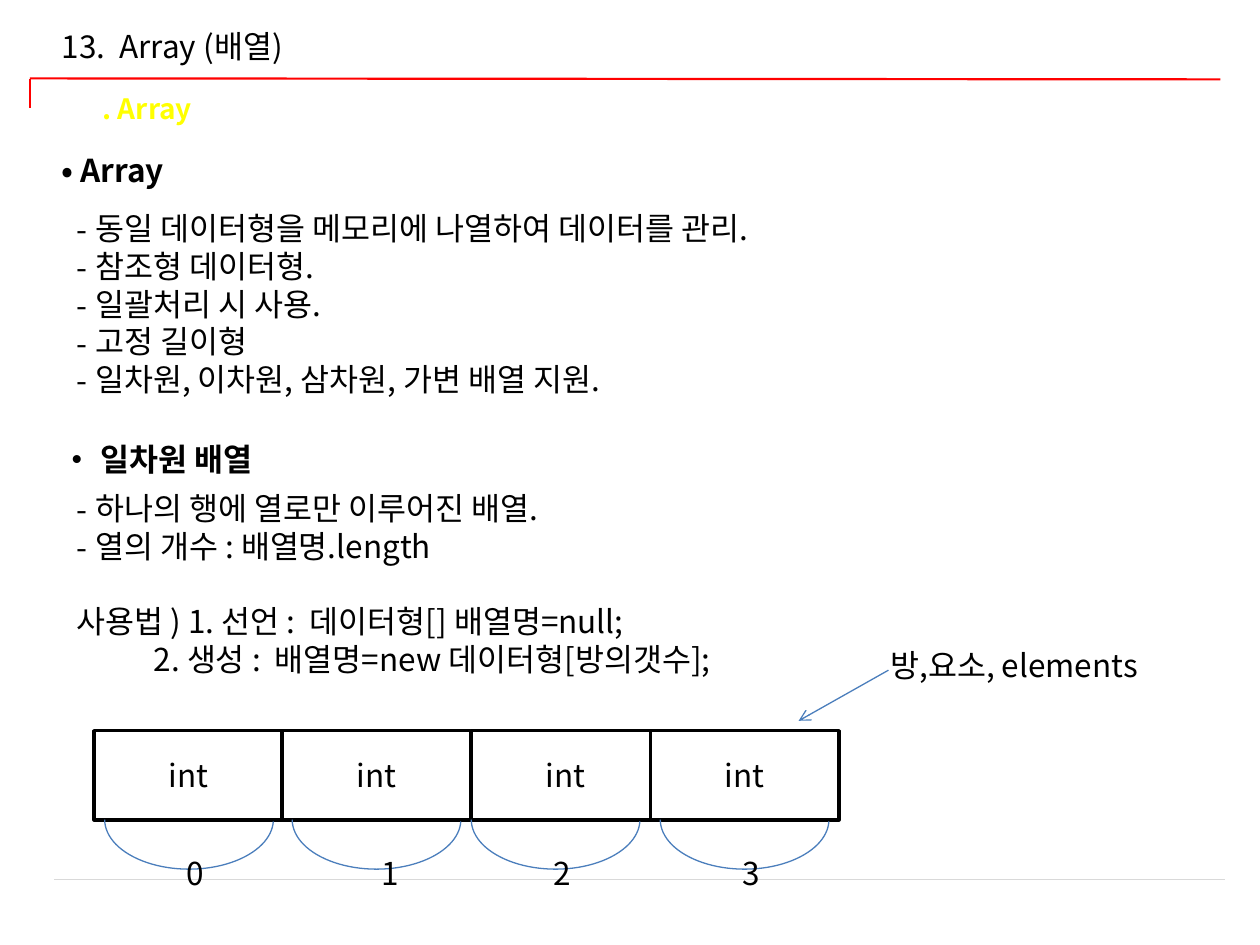
import pptx
import pptx.dml.color
import pptx.enum.shapes
import pptx.enum.text
import pptx.oxml
import pptx.oxml.ns
import pptx.util
from pptx.dml.color import RGBColor
from pptx.util import Cm

FONT = "Noto Sans CJK KR"
BLACK = RGBColor(0x00, 0x00, 0x00)
WHITE = RGBColor(0xFF, 0xFF, 0xFF)
YELLOW = RGBColor(0xFF, 0xFF, 0x00)
RED = RGBColor(0xFF, 0x00, 0x00)
GRAY = RGBColor(0xD9, 0xD9, 0xD9)
BLUE = RGBColor(0x4B, 0x7E, 0xBC)

ARRAY_POINTS = [
    "동일 데이터형을 메모리에 나열하여 데이터를 관리.",
    "참조형 데이터형.",
    "일괄처리 시 사용.",
    "고정 길이형",
    "일차원, 이차원, 삼차원, 가변 배열 지원.",
]
ROW_POINTS = ["하나의 행에 열로만 이루어진 배열.", "열의 개수 : 배열명.length"]
ELEMENTS = [
    (1.9, 2.11, 3.51),
    (5.69, 5.89, 7.44),
    (9.5, 9.5, 10.9),
    (13.11, 13.31, 14.71),
]


def add_element(parent, tag, **attributes):
    child = pptx.oxml.parse_xml(f"<{tag} {pptx.oxml.ns.nsdecls('a')}/>")
    for name, value in attributes.items():
        child.set(name, value)
    parent.append(child)


def add_span(para, text, size=18, color=BLACK, bold=False):
    span = para.add_run()
    span.text = text
    span.font.name = FONT
    span.font.size = pptx.util.Pt(size)
    span.font.bold = bold
    span.font.color.rgb = color
    add_element(span.font._element, "a:ea", typeface=FONT)


def write(frame, text, new=False, bullet=False, indent=0, before=0, align="LEFT", size=18, **style):
    para = frame.add_paragraph() if new else frame.paragraphs[0]
    properties = para._p.get_or_add_pPr()
    if bullet:
        properties.set("marL", str(Cm(0.37)))
        properties.set("indent", str(-Cm(0.37)))
        add_element(properties, "a:buFont", typeface=FONT)
        add_element(properties, "a:buChar", char="-")
    elif indent:
        properties.set("marL", str(Cm(indent)))
        properties.set("indent", "0")
    para.alignment = getattr(pptx.enum.text.PP_ALIGN, align)
    para.line_spacing = pptx.util.Pt(size * 1.2)
    para.space_before = pptx.util.Pt(before)
    add_span(para, text, size=size, **style)


def add_box(page, left, top, width, height, wrap=True):
    box = page.shapes.add_textbox(Cm(left), Cm(top), Cm(width), Cm(height))
    box.text_frame.word_wrap = wrap
    return box.text_frame


def add_title(page, text):
    title = page.shapes.title
    title.left, title.top, title.width, title.height = Cm(0.99), Cm(0.41), Cm(12.9), Cm(1.02)
    frame = title.text_frame
    frame.auto_size = pptx.enum.text.MSO_AUTO_SIZE.NONE
    frame.vertical_anchor = pptx.enum.text.MSO_ANCHOR.TOP
    write(frame, text)


def add_bullets(frame, points):
    for index, point in enumerate(points):
        write(frame, point, new=index > 0, bullet=True)


def add_line(page, start, end, color, width, arrow=False):
    line = page.shapes.add_connector(
        pptx.enum.shapes.MSO_CONNECTOR.STRAIGHT, *map(Cm, start + end)
    )
    line.line.color.rgb = color
    line.line.width = pptx.util.Pt(width)
    if arrow:
        add_element(line.line._get_or_add_ln(), "a:tailEnd", type="arrow")
    add_element(line._element.spPr, "a:effectLst")


def add_cell(page, left):
    cell = page.shapes.add_shape(
        pptx.enum.shapes.MSO_SHAPE.RECTANGLE, Cm(left), Cm(14.73), Cm(3.8), Cm(1.8)
    )
    cell.shadow.inherit = False
    cell.fill.solid()
    cell.fill.fore_color.rgb = WHITE
    cell.line.color.rgb = BLACK
    cell.line.width = pptx.util.Pt(2)
    cell.text_frame.vertical_anchor = pptx.enum.text.MSO_ANCHOR.MIDDLE
    write(cell.text_frame, "int", align="CENTER")


def add_arc(page, left):
    arc = page.shapes.add_shape(
        pptx.enum.shapes.MSO_SHAPE.ARC, Cm(left), Cm(15.52), Cm(3.4), Cm(2)
    )
    arc.shadow.inherit = False
    arc.adjustments[0] = 108.79
    arc.adjustments[1] = 0
    arc.rotation = 180
    arc.fill.background()
    arc.line.color.rgb = BLUE
    arc.line.width = pptx.util.Pt(0.75)


def main():
    deck = pptx.Presentation()
    deck.slide_width, deck.slide_height = Cm(25.4), Cm(19.05)
    page = deck.slides.add_slide(deck.slide_layouts[5])

    add_title(page, "13.  Array (배열)")
    add_line(page, (0.6, 1.58), (24.6, 1.6), RED, 1.25)
    add_line(page, (0.6, 1.6), (0.6, 2.18), RED, 1.25)
    add_line(page, (1.09, 17.73), (24.69, 17.73), GRAY, 0.75)

    write(add_box(page, 1.82, 1.73, 14.28, 0.94), ". Array", size=16, color=YELLOW, bold=True)

    write(add_box(page, 0.99, 2.92, 22.5, 1.02), "• Array", bold=True)
    add_bullets(add_box(page, 1.3, 4.09, 23.6, 4.11), ARRAY_POINTS)

    write(add_box(page, 0.99, 8.74, 22.5, 1.02), "• 일차원 배열", bold=True)
    usage = add_box(page, 1.3, 9.73, 23.6, 4.11)
    add_bullets(usage, ROW_POINTS)
    write(usage, "사용법 ) 1. 선언 :  데이터형[] 배열명=null;", new=True, before=21.6)
    write(usage, "2. 생성 :  배열명=new 데이터형[방의갯수];", new=True, indent=1.55)

    add_line(page, (17.91, 13.51), (16.1, 14.53), BLUE, 0.75, arrow=True)
    write(add_box(page, 17.7, 12.9, 5.56, 1.02), "방,요소, elements")

    for index, (cell_left, arc_left, label_left) in enumerate(ELEMENTS):
        add_cell(page, cell_left)
        add_arc(page, arc_left)
        write(add_box(page, label_left, 17.09, 0.86, 1.02, wrap=False), str(index))

    deck.save("out.pptx")


if __name__ == "__main__":
    main()
